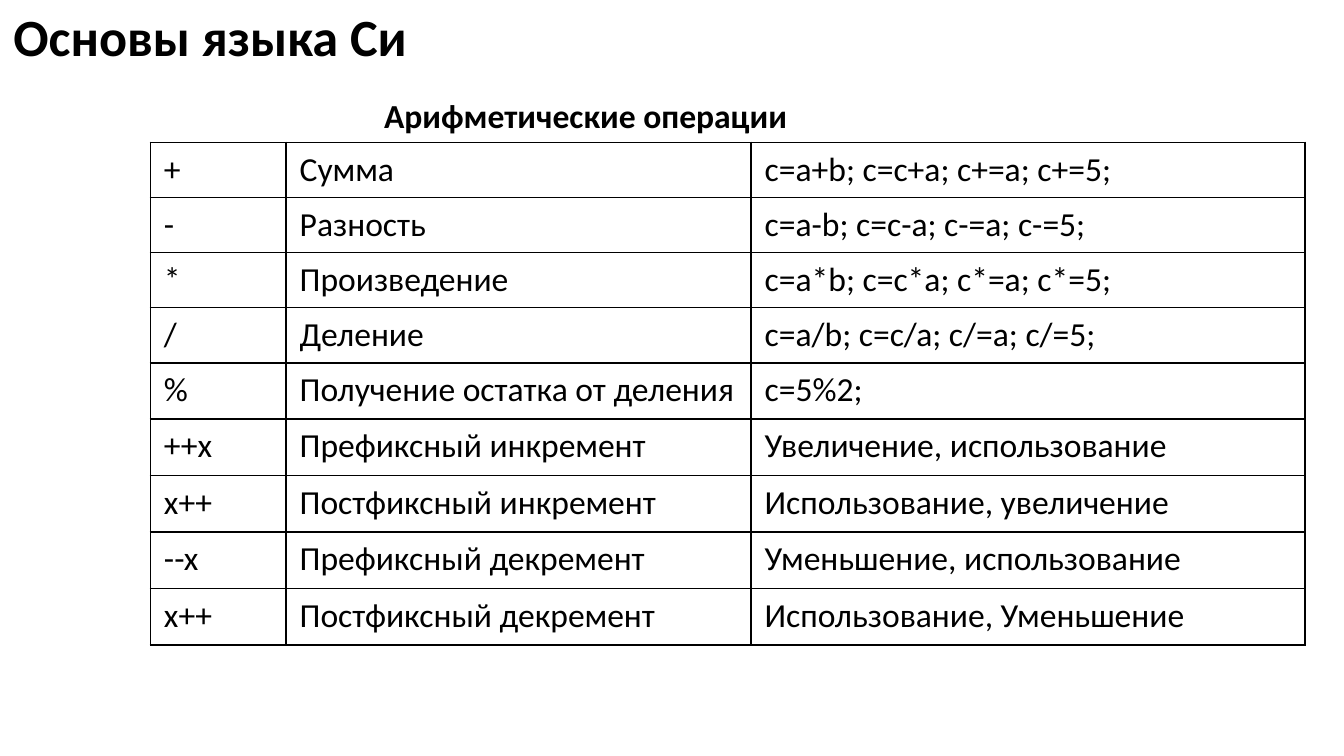
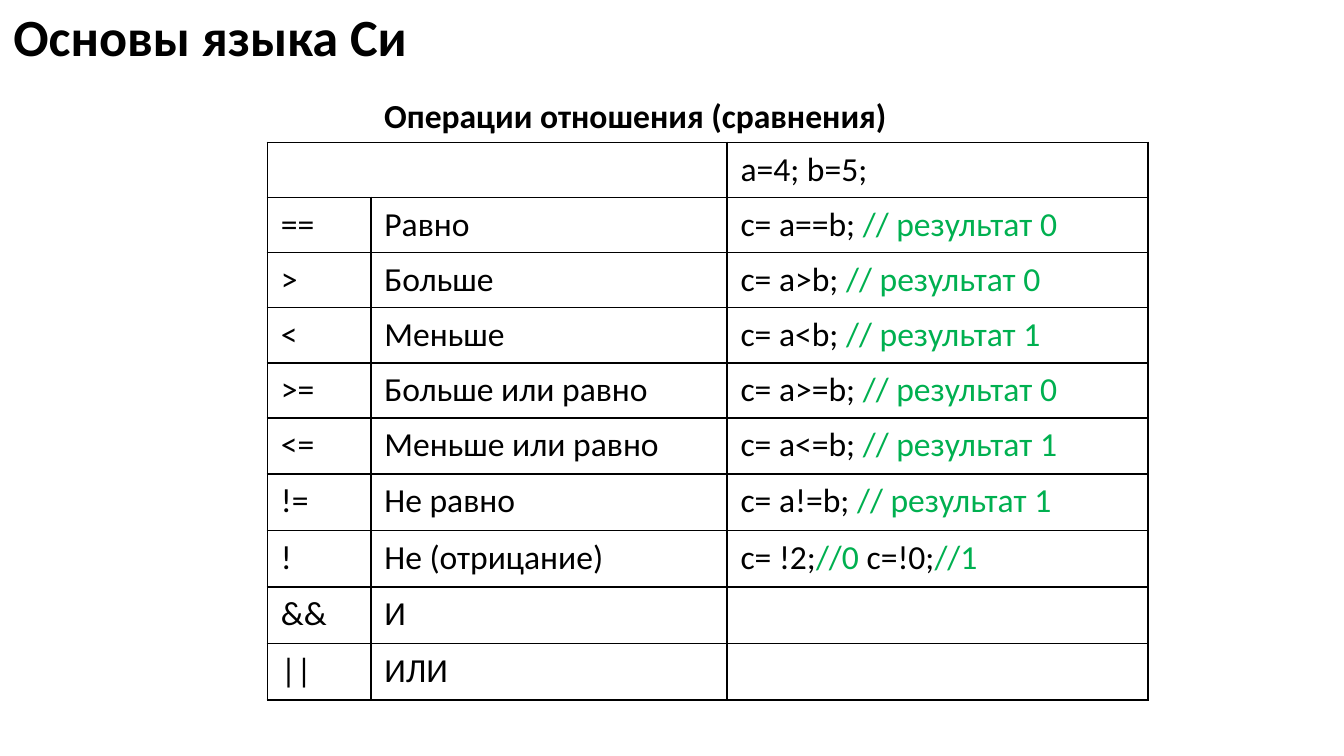
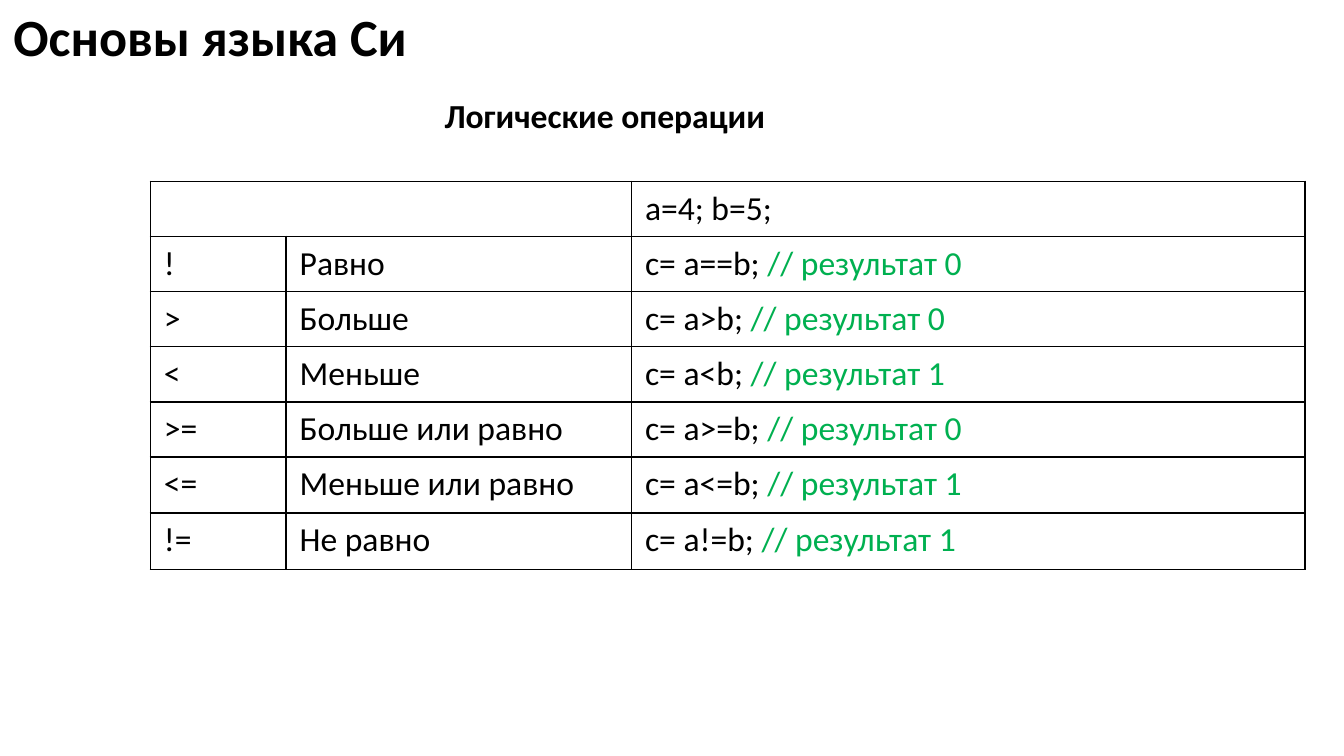
from lxml.etree import SubElement
from pptx import Presentation
from pptx.dml.color import RGBColor
from pptx.enum.text import MSO_ANCHOR, MSO_AUTO_SIZE, PP_ALIGN
from pptx.oxml.ns import qn
from pptx.util import Inches, Pt

FONT = "Calibri"
BLACK = "000000"
GREEN = "00B050"
TITLE = "Основы языка Си"


def color(code):
    return RGBColor.from_string(code)


def write(frame, *parts, size=18, bold=False, fill=BLACK):
    """Add runs to the first paragraph; code comments turn green."""
    para = frame.paragraphs[0]
    para.alignment = PP_ALIGN.LEFT
    for part in parts:
        run = para.add_run()
        run.text = part
        font = run.font
        font.name, font.size, font.bold = FONT, Pt(size), bold
        font.color.rgb = color(GREEN if part.startswith("//") else fill)


def border(cell, width=1):
    props = cell._tc.get_or_add_tcPr()
    for side in ("lnL", "lnR", "lnT", "lnB"):
        line = SubElement(props, qn(f"a:{side}"), w=str(Pt(width)))
        fill = SubElement(line, qn("a:solidFill"))
        SubElement(fill, qn("a:srgbClr"), val=BLACK)


class Deck:
    def __init__(self):
        self.prs = Presentation()
        self.prs.slide_width = Inches(10)
        self.prs.slide_height = Inches(10) * 9 // 16
        self.slide = None

    def start(self, topic, left=2.76):
        """Add a slide with the shared title and its topic line."""
        self.slide = self.prs.slides.add_slide(self.prs.slide_layouts[5])
        self.title(TITLE)
        self.label(topic, left)

    def title(self, text):
        head = self.slide.shapes.title
        head.left, head.top = Inches(0), Inches(-0.02)
        head.width, head.height = Inches(6.86), Inches(0.68)
        frame = head.text_frame
        frame.auto_size = MSO_AUTO_SIZE.NONE
        frame.vertical_anchor = MSO_ANCHOR.TOP
        write(frame, text, size=28, bold=True)

    def label(self, text, left):
        box = self.slide.shapes.add_textbox(
            Inches(left), Inches(0.66), Inches(4.67), Inches(0.4))
        frame = box.text_frame
        frame.word_wrap = True
        frame.auto_size = MSO_AUTO_SIZE.SHAPE_TO_FIT_TEXT
        write(frame, text, bold=True)

    def table(self, rows, left, top, widths, short, span=False):
        """Draw a grid whose first `short` rows are slightly lower."""
        heights = [0.41 if i < short else 0.42 for i in range(len(rows))]
        grid = self.slide.shapes.add_table(
            len(rows), len(widths), Inches(left), Inches(top),
            Inches(sum(widths)), Inches(sum(heights))).table
        grid.first_row = grid.horz_banding = False
        for col, width in zip(grid.columns, widths):
            col.width = Inches(width)
        for r, (row, height) in enumerate(zip(rows, heights)):
            grid.rows[r].height = Inches(height)
            for c, item in enumerate(row):
                cell = grid.cell(r, c)
                border(cell)
                cell.fill.background()
                parts = (item,) if isinstance(item, str) else item
                write(cell.text_frame, *filter(None, parts))
        if span:
            grid.cell(0, 0).merge(grid.cell(0, 1))


def test(sign, name, result, mark=None):
    """Make the row of one comparison of a and b."""
    return mark or sign, name, (f"c= a{sign}b; ", f"// результат {result}")


MATH = [
    ("+", "Сумма", "c=a+b; c=c+a; c+=a; c+=5;"),
    ("-", "Разность", "c=a-b; c=c-a; c-=a; c-=5;"),
    ("*", "Произведение", "c=a*b; c=c*a; c*=a; c*=5;"),
    ("/", "Деление", "c=a/b; c=c/a; c/=a; c/=5;"),
    ("%", "Получение остатка от деления", "c=5%2;"),
    ("++x", "Префиксный инкремент", "Увеличение, использование"),
    ("x++", "Постфиксный инкремент", "Использование, увеличение"),
    ("--x", "Префиксный декремент", "Уменьшение, использование"),
    ("x++", "Постфиксный декремент", "Использование, Уменьшение"),
]
HEAD = ("", "", "a=4; b=5;")
TESTS = [
    test(">", "Больше", 0),
    test("<", "Меньше", 1),
    test(">=", "Больше или равно", 0),
    test("<=", "Меньше или равно", 1),
    test("!=", "Не равно", 1),
]
LOGIC = [
    ("!", "Не (отрицание)", ("c= !2;", "//0", " c=!0;", "//1")),
    ("&&", "И", ""),
    ("||", "ИЛИ", ""),
]


def main():
    deck = Deck()

    deck.start("Арифметические операции")
    deck.table(MATH, 1.12, 1.06, (1.01, 3.46, 4.12), short=4)

    deck.start("Операции отношения (сравнения)")
    deck.table([HEAD, test("==", "Равно", 0), *TESTS, *LOGIC],
               1.99, 1.06, (0.77, 2.65, 3.13), short=5, span=True)

    deck.start("Логические операции", left=3.21)
    deck.table([HEAD, test("==", "Равно", 0, mark="!"), *TESTS],
               1.12, 1.35, (1.01, 2.57, 5.01), short=5, span=True)

    deck.prs.save("out.pptx")


if __name__ == "__main__":
    main()
